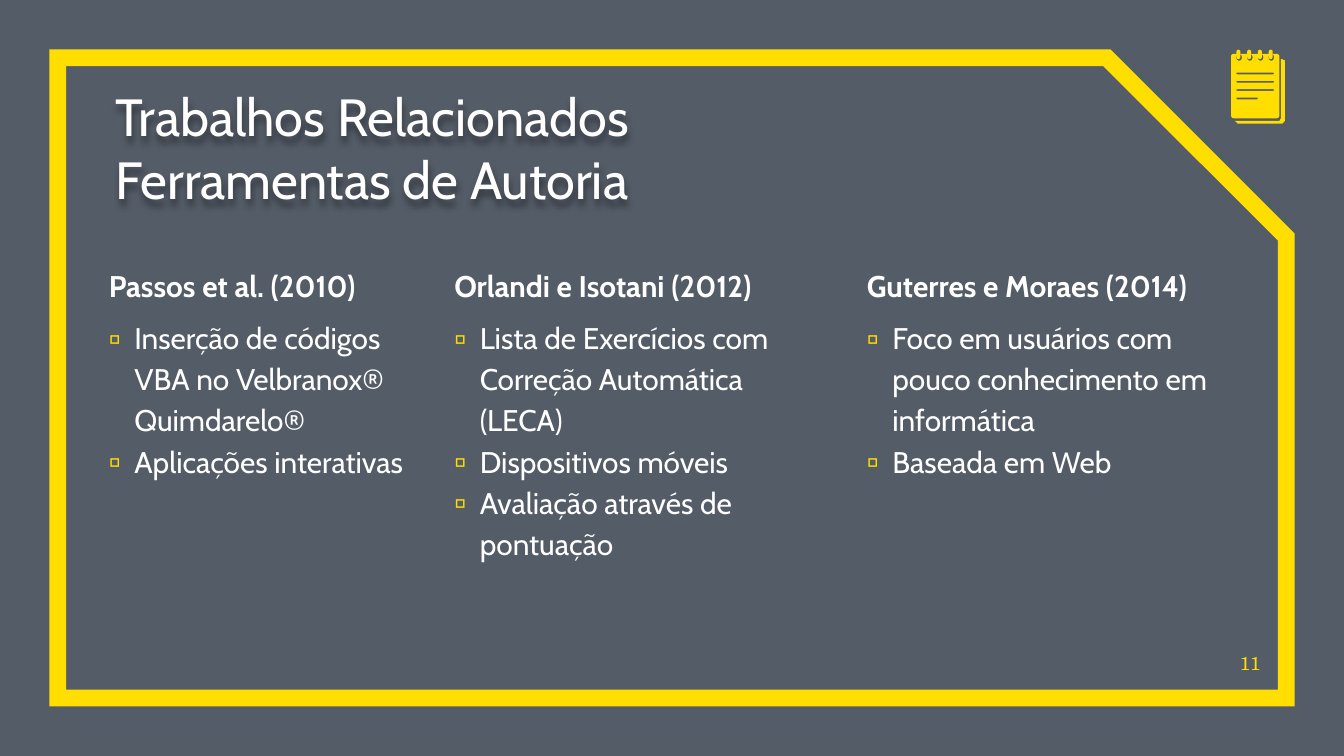
import math
from typing import NamedTuple

import pptx
import pptx.dml.color
import pptx.enum.shapes
import pptx.enum.text
import pptx.oxml
import pptx.oxml.ns
import pptx.util
from lxml import etree

COLORS = {"navy": "040F20", "yellow": "FFDE00", "white": "FFFFFF", "shadow": "000000"}
FONTS = {"text": "Cabin", "number": "TeX Gyre Schola"}
WIDTH = pptx.util.Inches(10)
HEIGHT = WIDTH * 9 // 16
ICON_CELL = WIDTH / 1000
ICON_LEFT, ICON_TOP = 916, 37
RING_COLUMNS = range(4, 29, 8)

Point = tuple[float, float]


class Area(NamedTuple):
    """A rectangle in percent of the slide's width and height."""
    left: float
    top: float
    width: float
    height: float

    def lengths(self) -> list[int]:
        return [round(share * side / 100)
                for share, side in zip(self, (WIDTH, HEIGHT, WIDTH, HEIGHT))]


class Work(NamedTuple):
    left: float
    width: float
    heading: str
    points: list[str]


WORKS = [
    Work(8.1, 22.1, "Passos et al. (2010)",
         ["Inserção de códigos VBA no Velbranox® Quimdarelo®", "Aplicações interativas"]),
    Work(33.8, 25.7, "Orlandi e Isotani (2012)",
         ["Lista de Exercícios com Correção Automática (LECA)", "Dispositivos móveis",
          "Avaliação através de pontuação"]),
    Work(64.5, 27.4, "Guterres e Moraes (2014)",
         ["Foco em usuários com pouco conhecimento em informática", "Baseada em Web"]),
]


def rgb(name: str) -> pptx.dml.color.RGBColor:
    return pptx.dml.color.RGBColor.from_string(COLORS[name])


def add_xml(parent, tag: str, **attributes: str):
    return etree.SubElement(parent, pptx.oxml.ns.qn(tag), attributes)


def place(box, area: Area, anchor):
    box.left, box.top, box.width, box.height = area.lengths()
    frame = box.text_frame
    frame.auto_size = pptx.enum.text.MSO_AUTO_SIZE.NONE
    frame.word_wrap = True
    frame.vertical_anchor = anchor
    frame.margin_left = frame.margin_top = frame.margin_right = frame.margin_bottom = 0
    return frame


def style(paragraph, size: float, color: str = "white", face: str = "text",
          bold: bool = False) -> None:
    font = paragraph.font
    font.size = pptx.util.Pt(size)
    font.name = FONTS[face]
    font.bold = bold
    font.color.rgb = rgb(color)


def set_bullet(paragraph, bulleted: bool) -> None:
    properties = paragraph._p.get_or_add_pPr()
    if bulleted:
        properties.set("marL", str(pptx.util.Inches(0.19)))
        properties.set("indent", str(pptx.util.Inches(-0.24)))
        color = add_xml(properties, "a:buClr")
        add_xml(color, "a:srgbClr", val=COLORS["yellow"])
        add_xml(properties, "a:buFont", typeface=FONTS["text"])
        add_xml(properties, "a:buChar", char="▫")
    else:
        properties.set("marL", "0")
        properties.set("indent", "0")
        add_xml(properties, "a:buNone")


def draw_backdrop(page) -> None:
    """Put the tinted ground and the snipped frame behind the placeholders."""
    kinds = pptx.enum.shapes.MSO_SHAPE
    ground = page.shapes.add_shape(kinds.RECTANGLE, 0, 0, WIDTH, HEIGHT)
    ground.fill.solid()
    ground.fill.fore_color.rgb = rgb("navy")
    tint = ground.fill._xPr.find(".//" + pptx.oxml.ns.qn("a:srgbClr"))
    add_xml(tint, "a:alpha", val="68000")
    ground.line.fill.background()

    frame = page.shapes.add_shape(kinds.SNIP_1_RECTANGLE,
                                  *Area(4.3, 7.64, 91.4, 84.7).lengths())
    frame.adjustments[0] = 0.28
    frame.fill.background()
    frame.line.color.rgb = rgb("yellow")
    frame.line.width = pptx.util.Pt(9)
    add_xml(frame.line._ln, "a:miter", lim="800000")

    for position, shape in enumerate((ground, frame), start=2):
        shape.shadow.inherit = False
        page.shapes._spTree.insert(position, shape._element)


def write_title(page) -> None:
    title = page.shapes.title
    frame = place(title, Area(8.6, 10.31, 73.5, 17.42), pptx.enum.text.MSO_ANCHOR.BOTTOM)
    frame.text = "Trabalhos Relacionados\nFerramentas de Autoria"
    for paragraph in frame.paragraphs:
        paragraph.alignment = pptx.enum.text.PP_ALIGN.LEFT
        style(paragraph, 28)
    effects = add_xml(title._element.spPr, "a:effectLst")
    shadow = add_xml(effects, "a:outerShdw", blurRad="50800", dist="38100", dir="5400000")
    color = add_xml(shadow, "a:srgbClr", val=COLORS["shadow"])
    add_xml(color, "a:alpha", val="40000")


def write_work(box, work: Work) -> None:
    frame = place(box, Area(work.left, 34.67, work.width, 46.93),
                  pptx.enum.text.MSO_ANCHOR.TOP)
    frame.text = "\n".join([work.heading, *work.points])
    for row, paragraph in enumerate(frame.paragraphs):
        paragraph.line_spacing = 1.15
        paragraph.space_before = pptx.util.Pt(6 if row == 1 else 0)
        set_bullet(paragraph, bulleted=row > 0)
        style(paragraph, 16, bold=row == 0)


def write_page_number(page) -> None:
    box = page.shapes.add_textbox(0, 0, 0, 0)
    frame = place(box, Area(91.1, 84.27, 2.7, 4.98), pptx.enum.text.MSO_ANCHOR.BOTTOM)
    frame.text = "11"
    paragraph = frame.paragraphs[0]
    paragraph.alignment = pptx.enum.text.PP_ALIGN.RIGHT
    style(paragraph, 10, "yellow", "number")


def rounded(left: float, top: float, width: float, height: float,
            radius: float) -> list[Point]:
    """Outline of a rounded rectangle, in icon cells."""
    right, bottom = left + width - radius, top + height - radius
    centers = [(right, bottom), (left + radius, bottom),
               (left + radius, top + radius), (right, top + radius)]
    return [(x + radius * math.cos(angle), y + radius * math.sin(angle))
            for quarter, (x, y) in enumerate(centers)
            for angle in (math.radians(90 * quarter + step) for step in (0, 30, 60, 90))]


def draw_outline(group, contours: list[list[Point]]) -> None:
    """Fill the first contour in yellow; the others are holes in it."""
    scaled = [[((ICON_LEFT + x) * ICON_CELL, (ICON_TOP + y) * ICON_CELL) for x, y in contour]
              for contour in contours]
    builder = group.shapes.build_freeform(*scaled[0][0])
    for index, contour in enumerate(scaled):
        if index:
            builder.move_to(*contour[0])
        builder.add_line_segments(contour[1:], close=True)
    shape = builder.convert_to_shape()
    shape.shadow.inherit = False
    shape.fill.solid()
    shape.fill.fore_color.rgb = rgb("yellow")
    shape.line.fill.background()


def draw_notepad(page) -> None:
    group = page.shapes.add_group_shape()
    back_sheet = [(37, 7), (37, 51), (36, 53), (3, 53), (5, 55),
                  (38, 55), (40, 53), (40, 8), (38, 7)]
    draw_outline(group, [back_sheet])
    for column in RING_COLUMNS:
        draw_outline(group, [rounded(column, 0, 3, 7, 1.5)])
    ring_holes = [rounded(column, 3.2, 4, 5, 2) for column in RING_COLUMNS]
    text_lines = [rounded(4, 17 + 6.2 * row, width, 1.3, 0.6)
                  for row, width in enumerate((28, 28, 28, 16))]
    draw_outline(group, [rounded(0, 3, 36, 48, 2), *ring_holes, *text_lines])


def main() -> None:
    deck = pptx.Presentation()
    deck.slide_width, deck.slide_height = WIDTH, HEIGHT
    page = deck.slides.add_slide(deck.slide_layouts.get_by_name("Comparison"))
    draw_backdrop(page)
    write_title(page)
    bodies = [box for box in page.placeholders if box.placeholder_format.idx > 0]
    for box, work in zip(bodies, WORKS):
        write_work(box, work)
    for unused in bodies[len(WORKS):]:
        unused._element.getparent().remove(unused._element)
    write_page_number(page)
    draw_notepad(page)
    deck.save("out.pptx")


if __name__ == "__main__":
    main()
